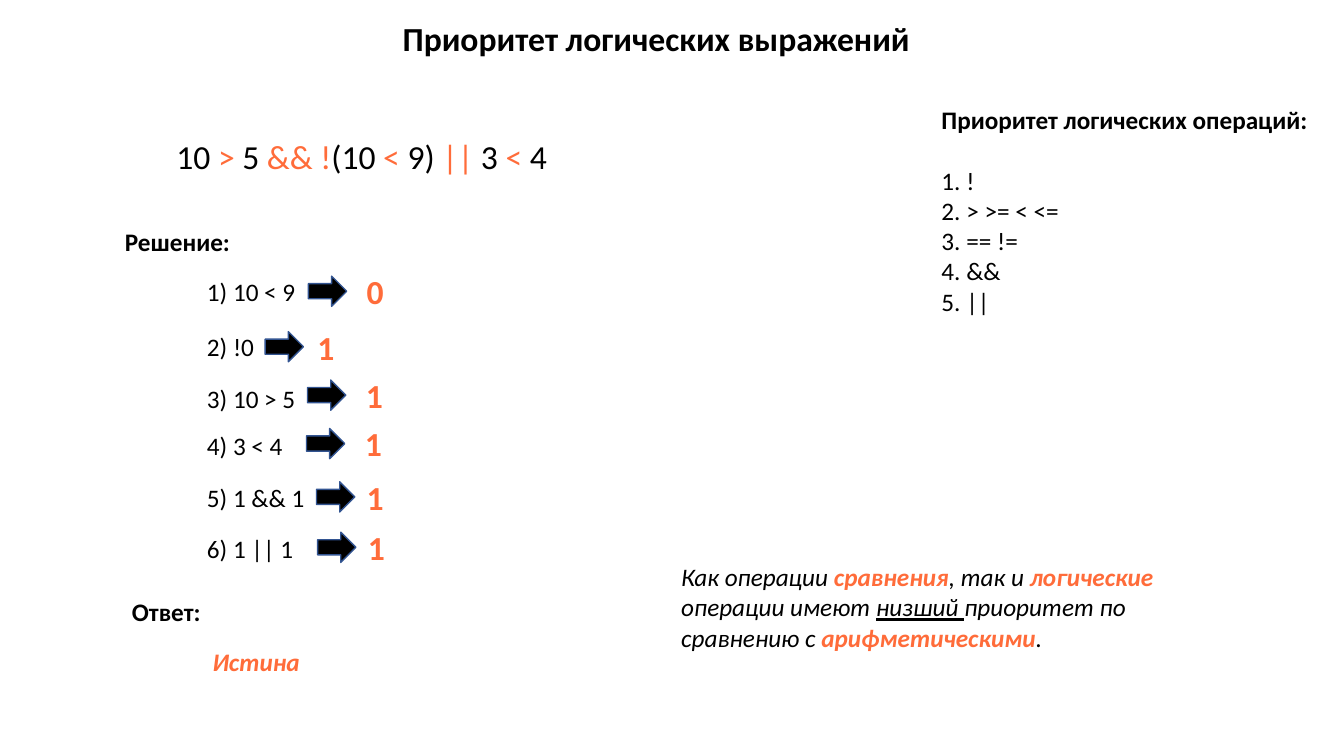
from dataclasses import dataclass

from lxml.etree import SubElement
from pptx import Presentation
from pptx.dml.color import RGBColor as RGB
from pptx.enum.shapes import MSO_SHAPE
from pptx.enum.text import MSO_ANCHOR, MSO_AUTO_SIZE as AUTO, PP_ALIGN
from pptx.oxml.ns import qn
from pptx.util import Inches, Pt


@dataclass(frozen=True)
class Theme:
    font: str = "Calibri"
    ink: str = "000000"
    accent: str = "FF6C3A"
    edge: str = "325491"
    large: int = 24
    body: int = 18
    gap: int = 22


T = Theme()

TITLE = "Приоритет логических выражений"
FORMULA = [("10 ", ""), (">", "a"), (" 5 ", ""), ("&& !", "a"), ("(10 ", ""),
           ("<", "a"), (" 9) ", ""), ("||", "a"), (" 3 ", ""), ("<", "a"), (" 4", "")]
PRIORITY_HEAD = "Приоритет логических операций:"
PRIORITIES = ["!", "> >= < <=", "== !=", "&&", "||"]
NOTE = [("Как операции ", "i"), ("сравнения", "abi"), (", так и ", "i"),
        ("логические ", "abi"), ("операции имеют ", "i"), ("низший ", "iu"),
        ("приоритет по сравнению с ", "i"), ("арифметическими", "abi"), (".", "i")]

# fmt: off
STEPS = [
    ("1) 10 < 9", "0", 35.87, 8.25, (22.95, 36.53), 3.6),
    ("2) !0", "1", 43.2, 9.23, (19.73, 43.87), 3.15),
    ("3) 10 > 5", "1", 50, 8.55, (22.88, 50.27), 3.6),
    ("4) 3 < 4", "1", 56.27, 8.55, (22.8, 56.67), 3.6),
    ("5) 1 && 1", "1", 63.2, 9.75, (23.55, 63.73), 3),
    ("6) 1 || 1", "1", 69.87, 9.75, (23.63, 70.4), 3),
]
# fmt: on
LABELS = [
    ("Решение:", "b", 8.55, 29.33),
    ("Ответ:", "b", 9.08, 78.27),
    ("Истина", "abi", 15.08, 84.8),
]
STEP_X = 14.66
ARROW_W, ARROW_H = 2.85, 4
VALUE_W, VALUE_RISE = 4.28, 1.33
LARGE_H, BODY_H = 6.67, 5.33

prs = Presentation()
prs.slide_width, prs.slide_height = Inches(13.33), Inches(7.5)
COL, ROW = prs.slide_width / 100, prs.slide_height / 100


def box(x, y, w, h):
    return int(x * COL), int(y * ROW), int(w * COL), int(h * ROW)


def place(sp, *at):
    sp.left, sp.top, sp.width, sp.height = box(*at)
    return sp


def write(sp, *paragraphs, size=T.body, align=PP_ALIGN.LEFT, wrap=True, gap=0):
    tf = sp.text_frame
    tf.word_wrap = wrap
    tf.auto_size = AUTO.SHAPE_TO_FIT_TEXT
    tf.vertical_anchor = MSO_ANCHOR.TOP
    for i, runs in enumerate(paragraphs):
        p = tf.add_paragraph() if i else tf.paragraphs[0]
        p.alignment = align
        p.line_spacing = 1.0
        p.space_before = Pt(gap if i == 1 else 0)
        pPr = p._p.get_or_add_pPr()
        pPr.set("marL", "0")
        pPr.set("indent", "0")
        SubElement(pPr, qn("a:buNone"))
        for text, style in runs:
            r = p.add_run()
            r.text = text
            f = r.font
            f.name, f.size = T.font, Pt(size)
            f.bold, f.italic, f.underline = "b" in style, "i" in style, "u" in style
            f.color.rgb = RGB.from_string(T.accent if "a" in style else T.ink)


def add_text(shapes, at, runs, **fmt):
    write(shapes.add_textbox(*box(*at)), runs, **fmt)


def add_result(shapes, value, x, y, gap):
    group = shapes.add_group_shape()
    arrow = group.shapes.add_shape(MSO_SHAPE.RIGHT_ARROW, *box(x, y, ARROW_W, ARROW_H))
    arrow.shadow.inherit = False
    arrow.fill.solid()
    arrow.fill.fore_color.rgb = RGB.from_string(T.ink)
    arrow.line.color.rgb = RGB.from_string(T.edge)
    arrow.line.width = Pt(1)
    add_text(group.shapes, (x + gap, y - VALUE_RISE, VALUE_W, LARGE_H),
             [(value, "ab")], size=T.large)


s = prs.slides.add_slide(prs.slide_layouts[1])
title, priorities = s.placeholders

write(place(title, 14.63, 1.73, 68.4, LARGE_H), [(TITLE, "b")],
      size=T.large, align=PP_ALIGN.CENTER)
write(place(priorities, 69.3, 13.07, 29.63, 29.6), [(PRIORITY_HEAD, "b")],
      *[[(f"{n}. {op}", "")] for n, op in enumerate(PRIORITIES, 1)], gap=T.gap)
add_text(s.shapes, (12.38, 17.33, 33.98, LARGE_H), FORMULA, size=T.large)
add_text(s.shapes, (49.95, 73.6, 41.25, 13.47), NOTE)

for text, style, x, y in LABELS:
    add_text(s.shapes, (x, y, 22.5, BODY_H), [(text, style)])

for text, value, y, w, arrow_at, gap in STEPS:
    add_text(s.shapes, (STEP_X, y, w, BODY_H), [(text, "")], wrap=False)
    add_result(s.shapes, value, *arrow_at, gap)

prs.save("out.pptx")
